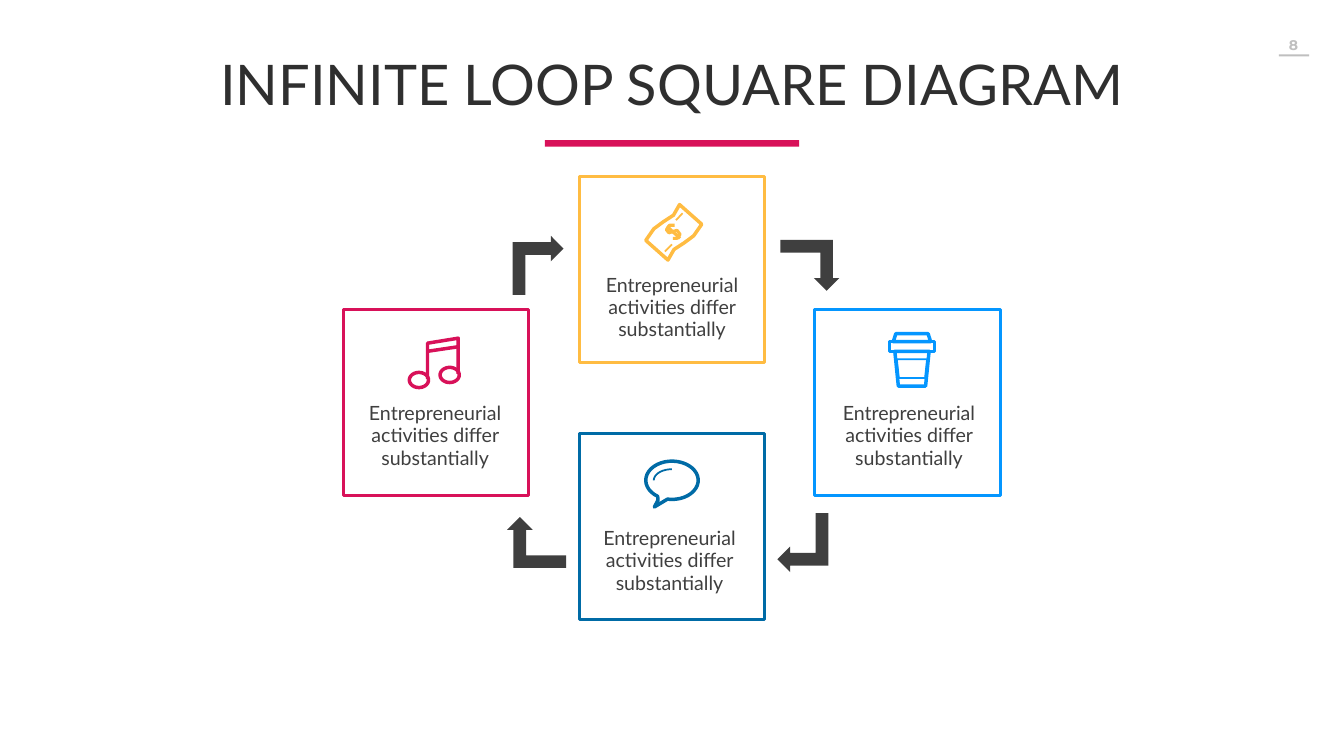
"""Build the infinite loop square diagram slide."""
import math
import pptx
import pptx.dml.color
import pptx.enum.shapes
import pptx.enum.text
import pptx.util

PX = 9144
THEME = {
    "white": "FFFFFF", "grey": "BFBFBF", "dark": "3F3F3F", "ink": "2F2F2F",
    "yellow": "FFBC42", "pink": "D81159", "navy": "006BA6", "sky": "0496FF",
    "body": 28, "title": 80, "number": 20,
    "outline": 4.5, "bold": 5, "thin": 2.5,
    "font": "Lato", "number_font": "Montserrat",
}
SHAPES = pptx.enum.shapes.MSO_SHAPE


def rgb(name):
    return pptx.dml.color.RGBColor.from_string(THEME[name])


def arc(x, y, across, down, start, end):
    """Return points along an ellipse, with angles in degrees, clockwise from the right."""
    angles = [math.radians(start + (end - start) * part / 36) for part in range(37)]
    return [(x + across * math.cos(angle), y + down * math.sin(angle)) for angle in angles]


deck = pptx.Presentation()
deck.slide_width, deck.slide_height = 2666 * PX, 1500 * PX
slide = deck.slides.add_slide(deck.slide_layouts[6])

message = "Entrepreneurial activities differ substantially"
steps = [
    (1149, 351, "yellow", 15, 183),
    (681, 614, "pink", 13, 175),
    (1149, 860, "navy", 10, 177),
    (1616, 614, "sky", 18, 175),
]
body_style = {"size": pptx.util.Pt(THEME["body"]), "name": THEME["font"], "bold": False}
title_style = body_style | {"size": pptx.util.Pt(THEME["title"])}
number_style = {"size": pptx.util.Pt(THEME["number"]), "name": THEME["number_font"], "bold": True}

labels = [
    ("8", (2527, 62, 94, 54), (20, 10, 36, 10), False, 1.0, "grey", number_style),
    ("INFINITE LOOP SQUARE DIAGRAM", (154, 108, 2358, 131), (10, 5, 10, 5), True, 0.9,
     "ink", title_style),
]
bars = [(2537, 108, 60, 4, "grey", None), (1081, 278, 504, 13, "pink", None)]
for left, top, color, dx, dy in steps:
    bars.append((left, top, 368, 369, "white", color))
    labels.append((message, (left + dx, top + dy, 338, 160), (20, 10, 20, 10), True, 0.95,
                   "dark", body_style))

for left, top, width, height, fill, outline in bars:
    bar = slide.shapes.add_shape(SHAPES.RECTANGLE, left * PX, top * PX, width * PX, height * PX)
    bar.shadow.inherit = False
    bar.fill.solid()
    bar.fill.fore_color.rgb = rgb(fill)
    if outline:
        bar.line.color.rgb = rgb(outline)
        bar.line.width = pptx.util.Pt(THEME["outline"])
    else:
        bar.line.fill.background()

for left, top, turn in [(1009, 476, 90), (1548, 476, 180), (1534, 1026, 270), (1006, 1026, 0)]:
    arrow = slide.shapes.add_shape(SHAPES.BENT_UP_ARROW, left * PX, top * PX, 117 * PX, 101 * PX)
    arrow.shadow.inherit = False
    arrow.fill.solid()
    arrow.fill.fore_color.rgb = rgb("dark")
    arrow.line.fill.background()
    arrow.rotation = turn
    arrow.element.spPr.xfrm.set("flipH", "1")

for wording, box, insets, wrap, spacing, color, style in labels:
    label = slide.shapes.add_textbox(*[length * PX for length in box])
    left, top, right, bottom = [inset * PX for inset in insets]
    frame_format = {
        "margin_left": left, "margin_top": top, "margin_right": right, "margin_bottom": bottom,
        "word_wrap": wrap, "auto_size": pptx.enum.text.MSO_AUTO_SIZE.SHAPE_TO_FIT_TEXT,
    }
    for name, value in frame_format.items():
        setattr(label.text_frame, name, value)
    paragraph = label.text_frame.paragraphs[0]
    paragraph.alignment = pptx.enum.text.PP_ALIGN.CENTER
    paragraph.line_spacing = spacing
    run = paragraph.add_run()
    run.text = wording
    for name, value in style.items():
        setattr(run.font, name, value)
    run.font.color.rgb = rgb(color)

note_half = [(1281, 477), (1297, 454), (1316, 440), (1336, 427), (1348, 406)]
banknote = note_half + [(2673 - x, 922 - y) for x, y in note_half]
dollar = [(1338, 447), (1328, 447), (1322, 456), (1327, 462),
          (1343, 457), (1349, 465), (1343, 473), (1335, 473)]
bubble = arc(1333, 953, 52, 38, 123, 460) + [(1313, 997), (1298, 1006), (1305, 993)]

strokes = [
    (banknote, True, "yellow", "bold"),
    (dollar, False, "yellow", "outline"),
    ([(1323, 449), (1349, 473)], False, "yellow", "outline"),
    ([(1319, 499), (1333, 485)], False, "yellow", "thin"),
    ([(1341, 437), (1354, 423)], False, "yellow", "thin"),
    (bubble, True, "navy", "bold"),
    (arc(1333, 953, 36, 22, 180, 270), False, "navy", "thin"),
    ([(848, 752), (848, 681), (909, 671), (909, 742)], False, "pink", "bold"),
    ([(848, 697), (909, 688)], False, "pink", "bold"),
    (arc(831, 754, 19, 15, 0, 360), True, "pink", "bold"),
    (arc(892, 744, 19, 15, 0, 360), True, "pink", "bold"),
]
cup_middle = 1809
cup_parts = [(37, 678, 32, 662, "bold"), (45, 678, 45, 697, "bold"), (34, 697, 27, 766, "bold"),
             (30, 713, 26, 750, "thin")]
for start, y1, end, y2, weight in cup_parts:
    corners = [(cup_middle - start, y1), (cup_middle - end, y2),
               (cup_middle + end, y2), (cup_middle + start, y1)]
    strokes.append((corners, True, "sky", weight))

for points, closed, color, weight in strokes:
    first, *rest = [(round(x * PX), round(y * PX)) for x, y in points]
    pen = slide.shapes.build_freeform(*first, scale=1.0)
    pen.add_line_segments(rest, close=closed)
    stroke = pen.convert_to_shape()
    stroke.shadow.inherit = False
    stroke.fill.background()
    stroke.line.color.rgb = rgb(color)
    stroke.line.width = pptx.util.Pt(THEME[weight])

deck.save("out.pptx")
